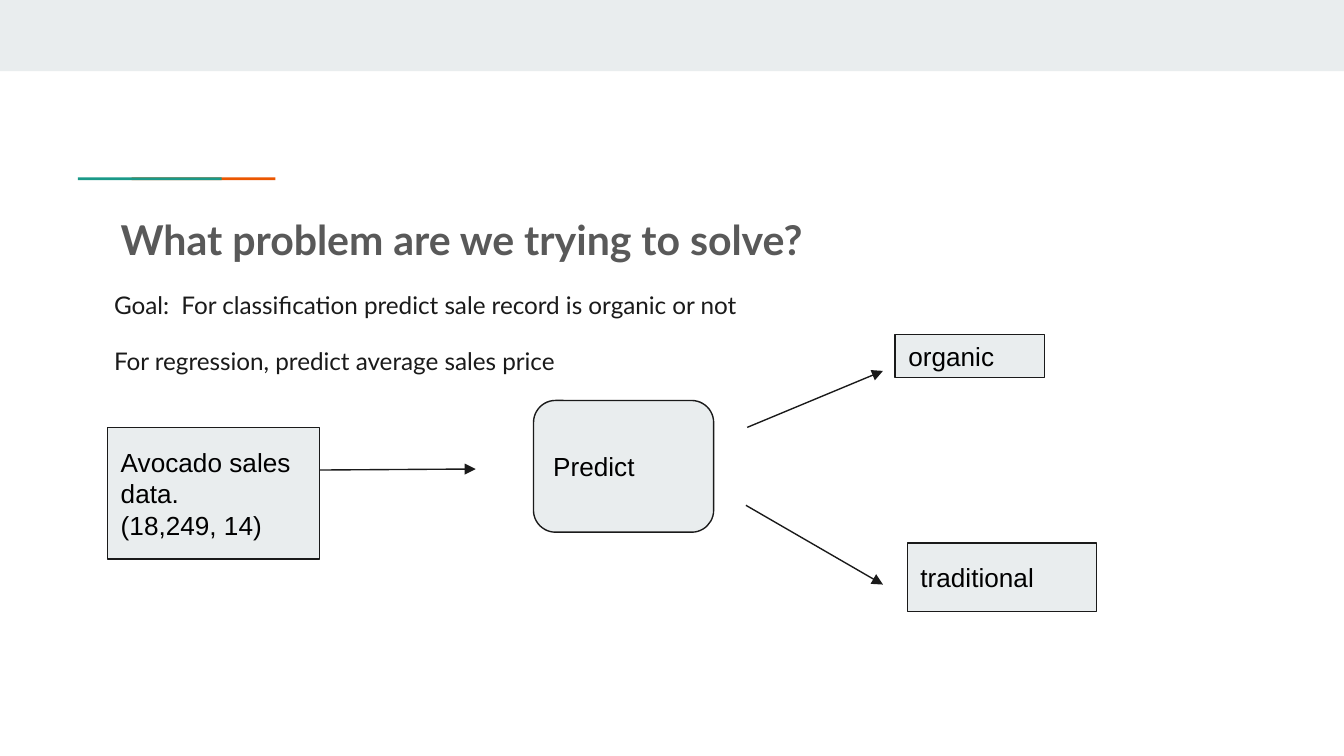
"""Build the slide that states the avocado sales prediction problem."""
from lxml import etree
from pptx import Presentation
from pptx.dml.color import RGBColor
from pptx.enum.shapes import MSO_CONNECTOR, MSO_SHAPE
from pptx.enum.text import MSO_ANCHOR, PP_ALIGN
from pptx.oxml.ns import qn
from pptx.util import Inches, Pt

RECTANGLE = MSO_SHAPE.RECTANGLE
ROUNDED = MSO_SHAPE.ROUNDED_RECTANGLE
STRAIGHT = MSO_CONNECTOR.STRAIGHT
MIDDLE = MSO_ANCHOR.MIDDLE
TOP = MSO_ANCHOR.TOP
LEFT = PP_ALIGN.LEFT

PALE = RGBColor(0xE9, 0xED, 0xEE)
ORANGE = RGBColor(0xEB, 0x56, 0x00)
TEAL = RGBColor(0x1A, 0x99, 0x88)
GREY = RGBColor(0x59, 0x59, 0x59)
INK = RGBColor(0x1A, 0x1A, 0x1A)
BLACK = RGBColor(0x00, 0x00, 0x00)


def add_block(kind, bounds, fill):
    block = page.shapes.add_shape(kind, *map(Inches, bounds))
    block.shadow.inherit = False
    block.fill.solid()
    block.fill.fore_color.rgb = fill
    block.line.fill.background()
    return block


def write_text(box, lines, font_name, size, color, anchor):
    frame = box.text_frame
    frame.word_wrap = True
    frame.vertical_anchor = anchor
    frame.margin_left = frame.margin_right = Inches(0.1)
    frame.margin_top = frame.margin_bottom = Inches(0.1)
    frame.text = "\n".join(lines)
    for para in frame.paragraphs:
        para.alignment = LEFT
        para.font.name = font_name
        para.font.size = Pt(size)
        para.font.color.rgb = color
    return frame.paragraphs


deck = Presentation()
deck.slide_width = Inches(10)
deck.slide_height = Inches(10) * 9 // 16
page = deck.slides.add_slide(deck.slide_layouts[6])

add_block(RECTANGLE, (0, 0, 10, 0.53), PALE)
for left, color in ((0.98, ORANGE), (0.58, TEAL)):
    add_block(RECTANGLE, (left, 1.32, 1.07, 0.02), color)

title_box = page.shapes.add_textbox(Inches(0.8), Inches(1.44), Inches(8.41), Inches(0.59))
title = write_text(title_box, ["What problem are we trying to solve?"], "Lato", 22, GREY, TOP)[0]
title.font.bold = True
title.line_spacing = 1.15
title.space_after = Pt(12)

goal_box = page.shapes.add_textbox(Inches(0.75), Inches(2.03), Inches(8.41), Inches(3.48))
goals = write_text(
    goal_box,
    ["Goal:  For classification predict sale record is organic or not",
     "For regression, predict average sales price"],
    "Lato", 13, INK, TOP)
for goal in goals:
    goal.line_spacing = 1.15
goals[1].space_before = Pt(12)

arrows = (
    (1.96, 3.5, 3.54, 3.49),
    (5.56, 3.18, 6.57, 2.76),
    (5.55, 3.76, 6.57, 4.35),
)
for ends in arrows:
    arrow = page.shapes.add_connector(STRAIGHT, *map(Inches, ends))
    arrow.line.color.rgb = INK
    arrow.line.width = Pt(0.75)
    outline = arrow._element.spPr.find(qn("a:ln"))
    etree.SubElement(outline, qn("a:tailEnd"), type="triangle")
    etree.SubElement(arrow._element.spPr, qn("a:effectLst"))

steps = (
    (ROUNDED, (3.97, 2.98, 1.34, 0.98), ["Predict"]),
    (RECTANGLE, (0.8, 3.18, 1.58, 0.98), ["Avocado sales data.", "(18,249, 14)"]),
    (RECTANGLE, (6.66, 2.49, 1.11, 0.32), ["organic"]),
    (RECTANGLE, (6.75, 4.04, 1.41, 0.51), ["traditional"]),
)
for kind, bounds, lines in steps:
    step = add_block(kind, bounds, PALE)
    step.line.color.rgb = INK
    step.line.width = Pt(0.75)
    write_text(step, lines, "Arial", 14, BLACK, MIDDLE)

deck.save("out.pptx")
